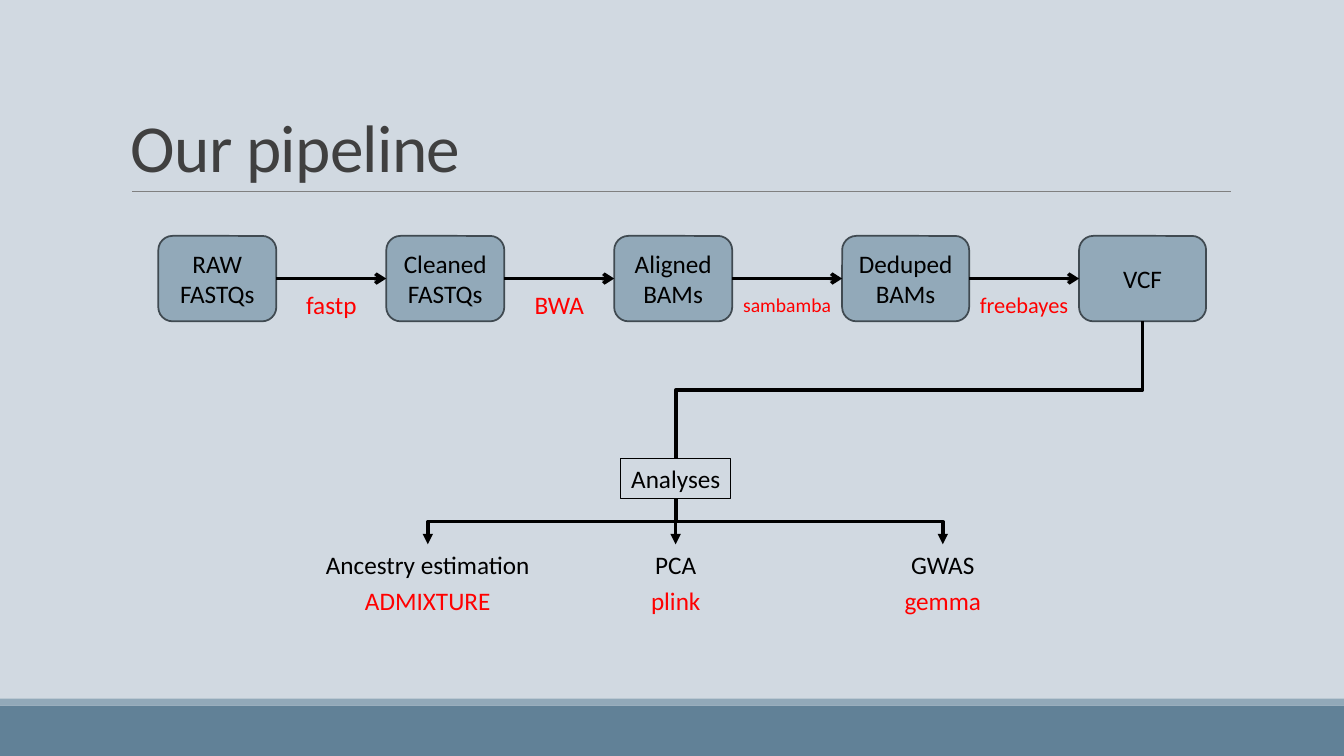
import pptx
import pptx.dml.color
import pptx.enum.shapes
import pptx.enum.text
import pptx.oxml
import pptx.oxml.ns
import pptx.util

RGBColor = pptx.dml.color.RGBColor
BACKGROUND = RGBColor(0xD1, 0xD9, 0xE1)
STEEL = RGBColor(0x61, 0x81, 0x97)
MIST = RGBColor(0x92, 0xA9, 0xB9)
OUTLINE = RGBColor(0x40, 0x4A, 0x51)
TITLE = RGBColor(0x40, 0x40, 0x40)
RULE = RGBColor(0x80, 0x80, 0x80)
BLACK = RGBColor(0, 0, 0)
RED = RGBColor(0xFF, 0, 0)

SHAPE = pptx.enum.shapes.MSO_SHAPE
CONNECTOR = pptx.enum.shapes.MSO_CONNECTOR
ANCHOR = pptx.enum.text.MSO_ANCHOR
ALIGN = pptx.enum.text.PP_ALIGN
WIDTH, HEIGHT = pptx.util.Inches(13.33), pptx.util.Inches(7.5)

# Positions are percentages of the slide's width and height
STAGE_LEFT, STAGE_TOP, STAGE_HEIGHT, STAGE_GAP = 11.78, 31.2, 11.3, 8.18
STAGES = [  # text, width, tool leading to the next stage, tool size
    ("RAW\nFASTQs", 8.78, "fastp", 18),
    ("Cleaned\nFASTQs", 8.78, "BWA", 18),
    ("Aligned\nBAMs", 8.78, "sambamba", 14),
    ("Deduped\nBAMs", 9.45, "freebayes", 16),
    ("VCF", 9.45, None, None),
]
HUB_X, HUB_TOP, HUB_WIDTH, HUB_HEIGHT = 50.28, 60.67, 8.2, 5.33
BRANCHES = [  # centre, analysis, tool
    (31.83, "Ancestry estimation", "ADMIXTURE"),
    (HUB_X, "PCA", "plink"),
    (70.15, "GWAS", "gemma"),
]
BRANCH_TOP, BRANCH_STEP, BRANCH_WIDTH = 72, 4.7, 17
LABEL_HEIGHT = 5.33


def across(share):
    return round(WIDTH * share / 100)


def down(share):
    return round(HEIGHT * share / 100)


def frame(left, top, width, height):
    return across(left), down(top), across(width), down(height)


def apply(target, formats):
    for name, value in formats.items():
        setattr(target, name, value)


def write(box, text, color=BLACK, size=18, align=ALIGN.CENTER,
          anchor=ANCHOR.MIDDLE, wrap=False):
    apply(box.text_frame, {"word_wrap": wrap, "vertical_anchor": anchor})
    box.text_frame.text = text
    for para in box.text_frame.paragraphs:
        para.alignment = align
        for span in para.runs:
            apply(span.font, {"name": "Calibri", "size": pptx.util.Pt(size)})
            span.font.color.rgb = color


def add_block(page, kind, place, fill=None, line=None, weight=1):
    block = page.shapes.add_shape(kind, *frame(*place))
    block.shadow.inherit = False
    if fill is None:
        block.fill.background()
    else:
        block.fill.solid()
        block.fill.fore_color.rgb = fill
    if line is None:
        block.line.fill.background()
    else:
        block.line.color.rgb = line
        block.line.width = pptx.util.Pt(weight)
    return block


def add_label(page, place, text, **formats):
    label = page.shapes.add_textbox(*frame(*place))
    write(label, text, **formats)
    return label


def finish_line(line, color=BLACK, weight=2.5, head=None):
    line.line.color.rgb = color
    line.line.width = pptx.util.Pt(weight)
    if head:
        tail = pptx.oxml.parse_xml(
            f'<a:tailEnd {pptx.oxml.ns.nsdecls("a")} type="{head}"/>')
        line.line._get_or_add_ln().append(tail)
    line.element.spPr.append(pptx.oxml.parse_xml(
        f'<a:effectLst {pptx.oxml.ns.nsdecls("a")}/>'))


def add_elbow(page, start_x, start_y, end_x, end_y, head=None):
    """Draw a down-across-down connector as a turned elbow."""
    begin, end = across(start_x), across(end_x)
    top, bottom = down(start_y), down(end_y)
    length, spread = bottom - top, abs(end - begin)
    left = (begin + end - length) // 2
    upper = (top + bottom - spread) // 2
    line = page.shapes.add_connector(
        CONNECTOR.ELBOW, left, upper, left + length, upper + spread)
    transform = line.element.spPr.find(pptx.oxml.ns.qn("a:xfrm"))
    if end < begin:
        transform.set("rot", "5400000")
    else:
        transform.set("rot", "16200000")
        transform.set("flipH", "1")
    finish_line(line, head=head)


def add_backdrop(page):
    page.background.fill.solid()
    page.background.fill.fore_color.rgb = BACKGROUND
    add_block(page, SHAPE.RECTANGLE, (0, 93.33, 100, 6.67), STEEL)
    add_block(page, SHAPE.RECTANGLE, (0, 92.4, 100, 0.93), MIST)
    rule = page.shapes.add_connector(
        CONNECTOR.STRAIGHT, across(9.83), down(25.33), across(91.6), down(25.33))
    finish_line(rule, RULE, 0.5)


def add_title(page, text):
    title = add_label(page, (9, 4.13, 82.5, 21.2), text, color=TITLE, size=48,
                      align=ALIGN.LEFT, anchor=ANCHOR.BOTTOM, wrap=True)
    para = title.text_frame.paragraphs[0]
    para.line_spacing = 0.85
    para.runs[0].font._element.set("spc", "-50")


def add_stages(page):
    """Draw the row of stages and return the centre of the last one."""
    left, previous = STAGE_LEFT, None
    for text, width, tool, size in STAGES:
        stage = add_block(page, SHAPE.ROUNDED_RECTANGLE,
                          (left, STAGE_TOP, width, STAGE_HEIGHT), MIST, OUTLINE, 1.25)
        write(stage, text, wrap=True)
        if previous is not None:
            arrow = page.shapes.add_connector(CONNECTOR.STRAIGHT, 0, 0, 0, 0)
            arrow.begin_connect(previous, 3)
            arrow.end_connect(stage, 1)
            finish_line(arrow, head="arrow")
        if tool:
            add_label(page, (left + width, 37.6, STAGE_GAP, LABEL_HEIGHT),
                      tool, color=RED, size=size)
        centre = left + width / 2
        left, previous = left + width + STAGE_GAP, stage
    return centre


def add_analyses(page, source_x):
    hub = add_block(page, SHAPE.RECTANGLE,
                    (HUB_X - HUB_WIDTH / 2, HUB_TOP, HUB_WIDTH, HUB_HEIGHT),
                    line=BLACK, weight=0.75)
    write(hub, "Analyses")
    add_elbow(page, source_x, STAGE_TOP + STAGE_HEIGHT, HUB_X, HUB_TOP)
    for centre, *names in BRANCHES:
        add_elbow(page, HUB_X, HUB_TOP + HUB_HEIGHT, centre, BRANCH_TOP, "triangle")
        for row, (name, color) in enumerate(zip(names, (BLACK, RED))):
            add_label(page, (centre - BRANCH_WIDTH / 2, BRANCH_TOP + row * BRANCH_STEP,
                             BRANCH_WIDTH, LABEL_HEIGHT), name, color=color)


def main():
    deck = pptx.Presentation()
    apply(deck, {"slide_width": WIDTH, "slide_height": HEIGHT})
    page = deck.slides.add_slide(deck.slide_layouts[6])
    add_backdrop(page)
    add_title(page, "Our pipeline")
    last_centre = add_stages(page)
    add_analyses(page, last_centre)
    deck.save("out.pptx")


if __name__ == "__main__":
    main()
